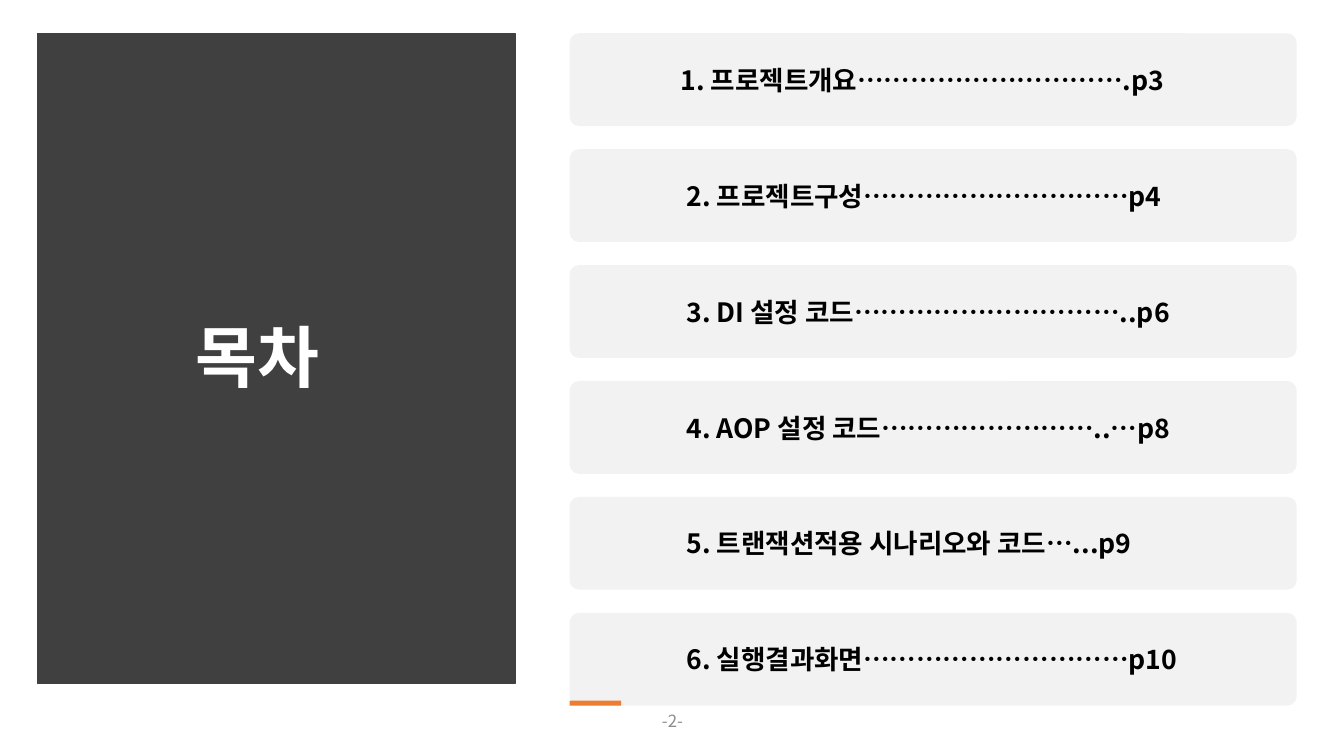
"""Build a table-of-contents slide with a dark title panel and six entry cards."""
from dataclasses import dataclass

from lxml import etree
from pptx import Presentation
from pptx.dml.color import RGBColor
from pptx.enum.shapes import MSO_SHAPE
from pptx.enum.text import MSO_ANCHOR, MSO_AUTO_SIZE, PP_ALIGN
from pptx.oxml.ns import qn
from pptx.shapes.autoshape import Shape
from pptx.slide import Slide
from pptx.util import Emu, Pt

RECT = MSO_SHAPE.RECTANGLE
ROUNDED = MSO_SHAPE.ROUNDED_RECTANGLE
MIDDLE = MSO_ANCHOR.MIDDLE
NO_AUTOFIT = MSO_AUTO_SIZE.NONE
LEFT = PP_ALIGN.LEFT
CENTER = PP_ALIGN.CENTER

PANEL_GREY = RGBColor(0x40, 0x40, 0x40)
CARD_GREY = RGBColor(0xF2, 0xF2, 0xF2)
ACCENT_ORANGE = RGBColor(0xED, 0x7D, 0x31)
NUMBER_GREY = RGBColor(0x8C, 0x8C, 0x8C)
BLACK = RGBColor(0, 0, 0)
WHITE = RGBColor(0xFF, 0xFF, 0xFF)

TITLE_FONT = "Montserrat"
BODY_FONT = "Noto Sans CJK KR"
EMU_PER_PX = 9144
TITLE_ONLY = 5

CARD_LEFT = 565
CARD_TOP = 33
CARD_WIDTH = 721
CARD_HEIGHT = 92
CARD_PITCH = 115
LABEL_WIDTH = 614
LABEL_INSET = 10


@dataclass(frozen=True)
class Box:
    left: int
    top: int
    width: int
    height: int

    def emu(self) -> tuple[Emu, Emu, Emu, Emu]:
        return px(self.left), px(self.top), px(self.width), px(self.height)


@dataclass(frozen=True)
class Entry:
    label: str
    left: int = 671
    indent: int = 0


ENTRIES = (
    Entry("1. 프로젝트개요………………………….p3", left=573, indent=92),
    Entry("2. 프로젝트구성…………………………p4"),
    Entry("3. DI 설정 코드…………………………..p6"),
    Entry("4. AOP 설정 코드……………………..…p8"),
    Entry("5. 트랜잭션적용 시나리오와 코드…...p9"),
    Entry("6. 실행결과화면…………………………p10"),
)


def px(length: int) -> Emu:
    return Emu(length * EMU_PER_PX)


def add_block(slide: Slide, kind: MSO_SHAPE, box: Box, color: RGBColor) -> Shape:
    block = slide.shapes.add_shape(kind, *box.emu())
    block.shadow.inherit = False
    block.fill.solid()
    block.fill.fore_color.rgb = color
    block.line.fill.background()
    return block


def write_text(holder: Shape, text: str, *, size: int, color: RGBColor,
               font: str = BODY_FONT, bold: bool = False,
               align: PP_ALIGN = LEFT, line_spacing: float = 1.0) -> None:
    frame = holder.text_frame
    frame.word_wrap = True
    frame.auto_size = NO_AUTOFIT
    frame.vertical_anchor = MIDDLE
    paragraph = frame.paragraphs[0]
    paragraph.alignment = align
    paragraph.line_spacing = line_spacing
    run = paragraph.add_run()
    run.text = text
    run.font.name = font
    run.font.size = Pt(size)
    run.font.bold = bold
    run.font.color.rgb = color
    east_asian = etree.SubElement(run.font._element, qn("a:ea"))
    east_asian.set("typeface", font)


def add_title(slide: Slide) -> None:
    panel = add_block(slide, RECT, Box(37, 33, 474, 645), PANEL_GREY)
    panel.line.color.rgb = PANEL_GREY
    panel.line.width = Pt(1)
    title = slide.shapes.title
    panel.element.addnext(title.element)
    title.left, title.top, title.width, title.height = Box(184, 70, 297, 575).emu()
    write_text(title, "목차", size=48, color=WHITE, font=TITLE_FONT,
               bold=True, line_spacing=0.9)


def add_entry(slide: Slide, entry: Entry, top: int) -> None:
    card = add_block(slide, ROUNDED, Box(CARD_LEFT, top, CARD_WIDTH, CARD_HEIGHT), CARD_GREY)
    card.adjustments[0] = 0.1
    label = slide.shapes.add_textbox(*Box(entry.left, top, LABEL_WIDTH, CARD_HEIGHT).emu())
    frame = label.text_frame
    frame.margin_left = px(LABEL_INSET + entry.indent)
    frame.margin_right = frame.margin_top = frame.margin_bottom = px(LABEL_INSET)
    write_text(label, entry.label, size=19, color=BLACK, bold=True)


def main() -> None:
    deck = Presentation()
    deck.slide_width, deck.slide_height = px(1333), px(750)
    slide = deck.slides.add_slide(deck.slide_layouts[TITLE_ONLY])
    add_title(slide)
    for index, entry in enumerate(ENTRIES):
        add_entry(slide, entry, CARD_TOP + index * CARD_PITCH)
    add_block(slide, RECT, Box(CARD_LEFT, 695, 51, 5), ACCENT_ORANGE)
    page_number = slide.shapes.add_textbox(*Box(442, 695, 450, 40).emu())
    write_text(page_number, "-2-", size=12, color=NUMBER_GREY, align=CENTER)
    deck.save("out.pptx")


if __name__ == "__main__":
    main()
